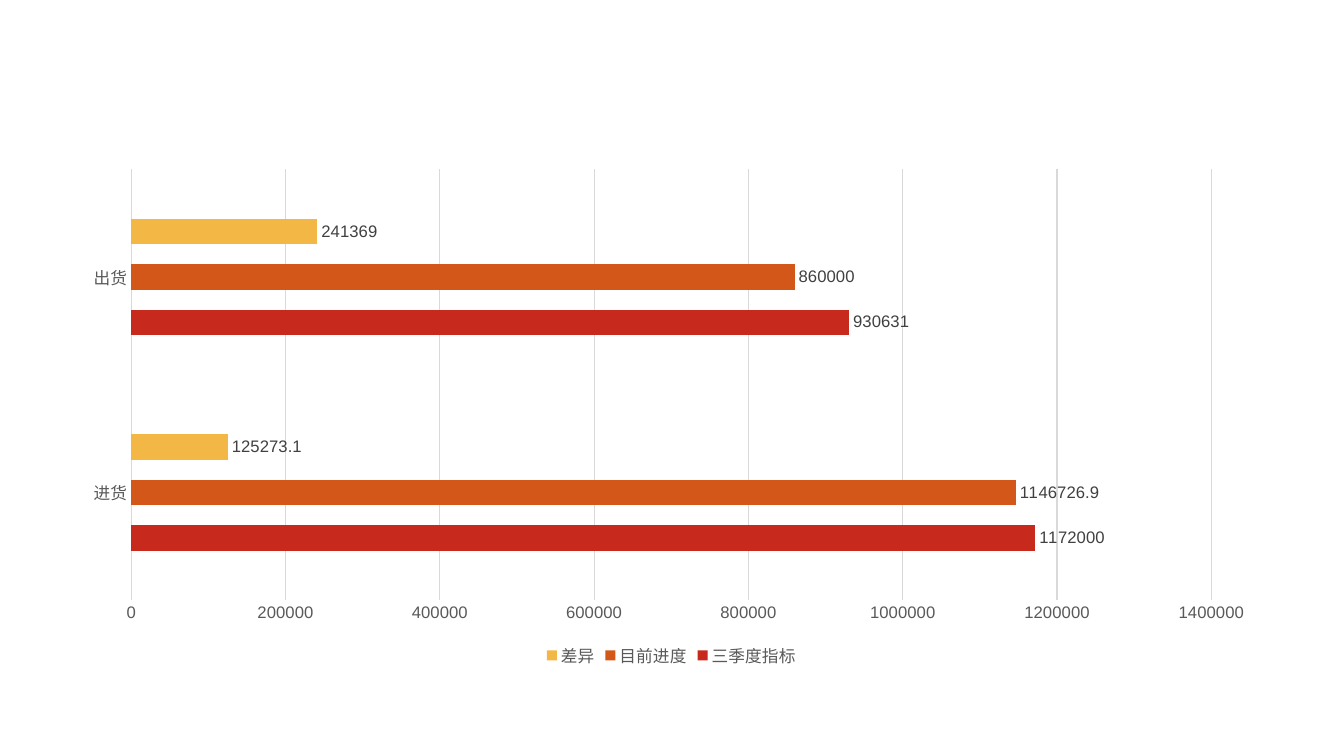
import pptx
import pptx.util
import pptx.chart.data
import pptx.dml.color
import pptx.enum.chart
import pptx.oxml

CATS = ["进货", "出货"]
ROWS = [
    ("三季度指标", (1172000, 930631), "C8291D"),
    ("目前进度", (1146726.9, 860000), "D4571A"),
    ("差异", (125273.1, 241369), "F3B745"),
]
THEME = {"face": "Arial", "size": 11.9, "text": "595959", "label": "404040", "line": "D9D9D9"}
SIZE = (13.33, 7.5)
FRAME = (0.053, 0.21, 0.893, 0.679)
PLOT = {"x": 0.05, "y": 0.02, "w": 0.9, "h": 0.84}

enum = pptx.enum.chart
NOTICK = enum.XL_TICK_MARK.NONE
FORMS = {
    "chart": {"has_title": False, "has_legend": True},
    "legend": {"position": enum.XL_LEGEND_POSITION.BOTTOM, "include_in_layout": False},
    "plot": {"gap_width": 388, "overlap": -78, "vary_by_categories": False},
    "cat": {"major_tick_mark": NOTICK, "minor_tick_mark": NOTICK, "has_major_gridlines": False},
    "val": {"major_tick_mark": NOTICK, "minor_tick_mark": NOTICK, "has_major_gridlines": True,
            "minimum_scale": 0, "maximum_scale": 1400000, "major_unit": 200000},
    "label": {"show_value": True, "position": enum.XL_LABEL_POSITION.OUTSIDE_END,
              "number_format": "General", "number_format_is_linked": False},
}


def apply(item, form):
    for key, value in form.items():
        setattr(item, key, value)


def tint(code):
    return pptx.dml.color.RGBColor.from_string(code)


def style(font, tone):
    apply(font, {"name": THEME["face"], "size": pptx.util.Pt(THEME["size"]), "bold": False})
    font.color.rgb = tint(THEME[tone])


def rule(line):
    line.width = pptx.util.Pt(0.75)
    line.color.rgb = tint(THEME["line"])


def place(chart):
    area = chart._chartSpace.chart.plotArea
    for old in area.findall(pptx.oxml.ns.qn("c:layout")):
        area.remove(old)
    parts = '<c:layoutTarget val="inner"/><c:xMode val="edge"/><c:yMode val="edge"/>'
    parts += "".join(f'<c:{key} val="{share}"/>' for key, share in PLOT.items())
    space = pptx.oxml.ns.nsdecls("c")
    area.insert(0, pptx.oxml.parse_xml(
        f"<c:layout {space}><c:manualLayout>{parts}</c:manualLayout></c:layout>"))


def draw(slide):
    data = pptx.chart.data.CategoryChartData()
    data.categories = CATS
    for name, vals, _ in ROWS:
        data.add_series(name, vals)
    box = [pptx.util.Inches(share * SIZE[i % 2]) for i, share in enumerate(FRAME)]
    chart = slide.shapes.add_chart(enum.XL_CHART_TYPE.BAR_CLUSTERED, *box, data).chart
    apply(chart, FORMS["chart"])
    style(chart.font, "text")
    plot, cat, val = chart.plots[0], chart.category_axis, chart.value_axis
    for item, key in ((chart.legend, "legend"), (plot, "plot"), (cat, "cat"), (val, "val")):
        apply(item, FORMS[key])
    for font in (chart.legend.font, cat.tick_labels.font, val.tick_labels.font):
        style(font, "text")
    rule(cat.format.line)
    rule(val.major_gridlines.format.line)
    val.format.line.fill.background()
    for bar, (_, _, code) in zip(plot.series, ROWS):
        bar.format.fill.solid()
        bar.format.fill.fore_color.rgb = tint(code)
        bar.invert_if_negative = False
        apply(bar.data_labels, FORMS["label"])
        style(bar.data_labels.font, "label")
    place(chart)


def main():
    deck = pptx.Presentation()
    deck.slide_width, deck.slide_height = map(pptx.util.Inches, SIZE)
    draw(deck.slides.add_slide(deck.slide_layouts[6]))
    deck.save("out.pptx")


if __name__ == "__main__":
    main()
